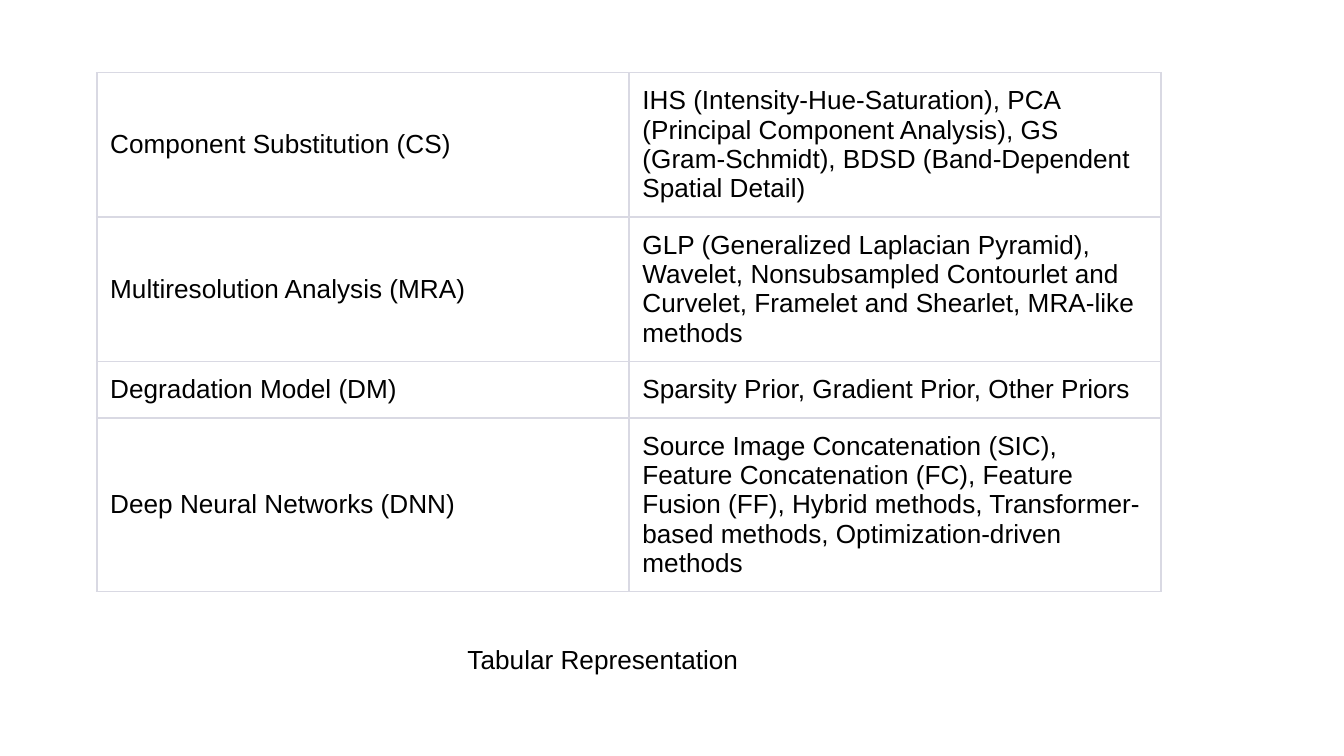
"""Build a slide with a table of pansharpening method families and a caption."""
from lxml.etree import SubElement
from pptx import Presentation
from pptx.dml.color import RGBColor
from pptx.enum.text import MSO_ANCHOR as Anchor
from pptx.oxml.ns import qn
from pptx.util import Pt

BLACK = RGBColor(0x00, 0x00, 0x00)
RULE = RGBColor(0xD9, 0xD9, 0xE3)
INSETS = {f"margin_{side}": Pt(7.2) for side in ("left", "right", "top", "bottom")}

families = [
    ("Component Substitution (CS)",
     "IHS (Intensity-Hue-Saturation), PCA (Principal Component Analysis), "
     "GS (Gram-Schmidt), BDSD (Band-Dependent Spatial Detail)"),
    ("Multiresolution Analysis (MRA)",
     "GLP (Generalized Laplacian Pyramid), Wavelet, Nonsubsampled Contourlet and "
     "Curvelet, Framelet and Shearlet, MRA-like methods"),
    ("Degradation Model (DM)",
     "Sparsity Prior, Gradient Prior, Other Priors"),
    ("Deep Neural Networks (DNN)",
     "Source Image Concatenation (SIC), Feature Concatenation (FC), "
     "Feature Fusion (FF), Hybrid methods, Transformer-based methods, "
     "Optimization-driven methods"),
]


def write(frame, text):
    paragraph = frame.paragraphs[0]
    run = paragraph.add_run()
    run.text = text
    for key, value in {"name": "Arial", "size": Pt(14)}.items():
        setattr(run.font, key, value)
    run.font.color.rgb = BLACK


def add_border(cell, side, width):
    line = SubElement(cell._tc.get_or_add_tcPr(), qn(f"a:ln{side}"), w=str(Pt(width)))
    fill = SubElement(line, qn("a:solidFill"))
    SubElement(fill, qn("a:srgbClr"), val=str(RULE))


deck = Presentation()
deck.slide_width, deck.slide_height = Pt(720), Pt(405)
slide = deck.slides.add_slide(deck.slide_layouts[6])

column_width, row_height = Pt(285.12), Pt(30.24)
methods = slide.shapes.add_table(
    len(families), 2, Pt(51.84), Pt(38.88), 2 * column_width, len(families) * row_height
).table
for flag in ("first_row", "horz_banding"):
    setattr(methods, flag, False)
for column in methods.columns:
    column.width = column_width

for row, family in enumerate(families):
    methods.rows[row].height = row_height
    for column, text in enumerate(family):
        cell = methods.cell(row, column)
        for key, value in {**INSETS, "vertical_anchor": Anchor.MIDDLE}.items():
            setattr(cell, key, value)
        for side in "LRTB":
            add_border(cell, side, 0.75 if row == 0 and side == "T" else 1)
        cell.fill.background()
        write(cell.text_frame, text)

caption = slide.shapes.add_textbox(Pt(243.36), Pt(337.68), Pt(186.48), Pt(30.96)).text_frame
for key, value in {**INSETS, "word_wrap": True, "vertical_anchor": Anchor.TOP}.items():
    setattr(caption, key, value)
write(caption, "Tabular Representation")

deck.save("out.pptx")
